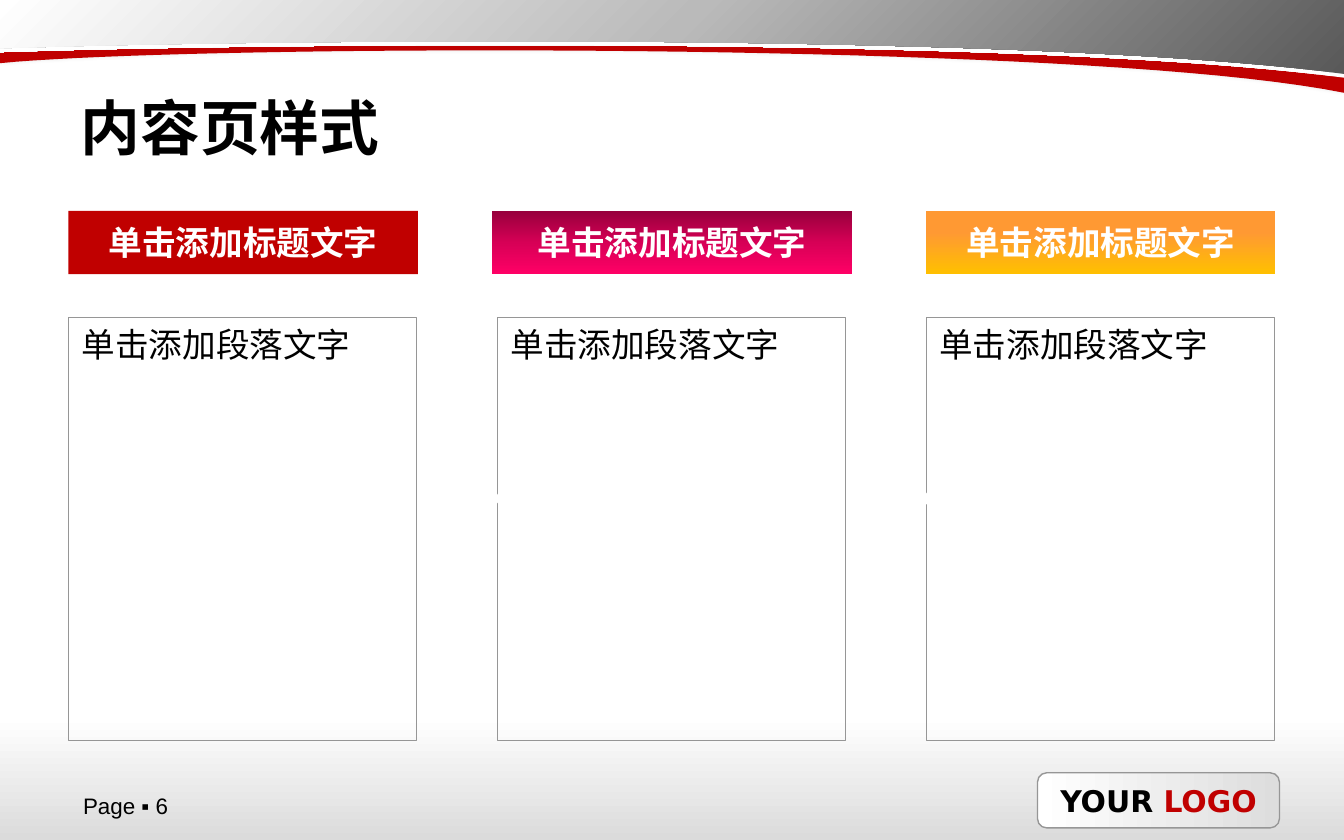
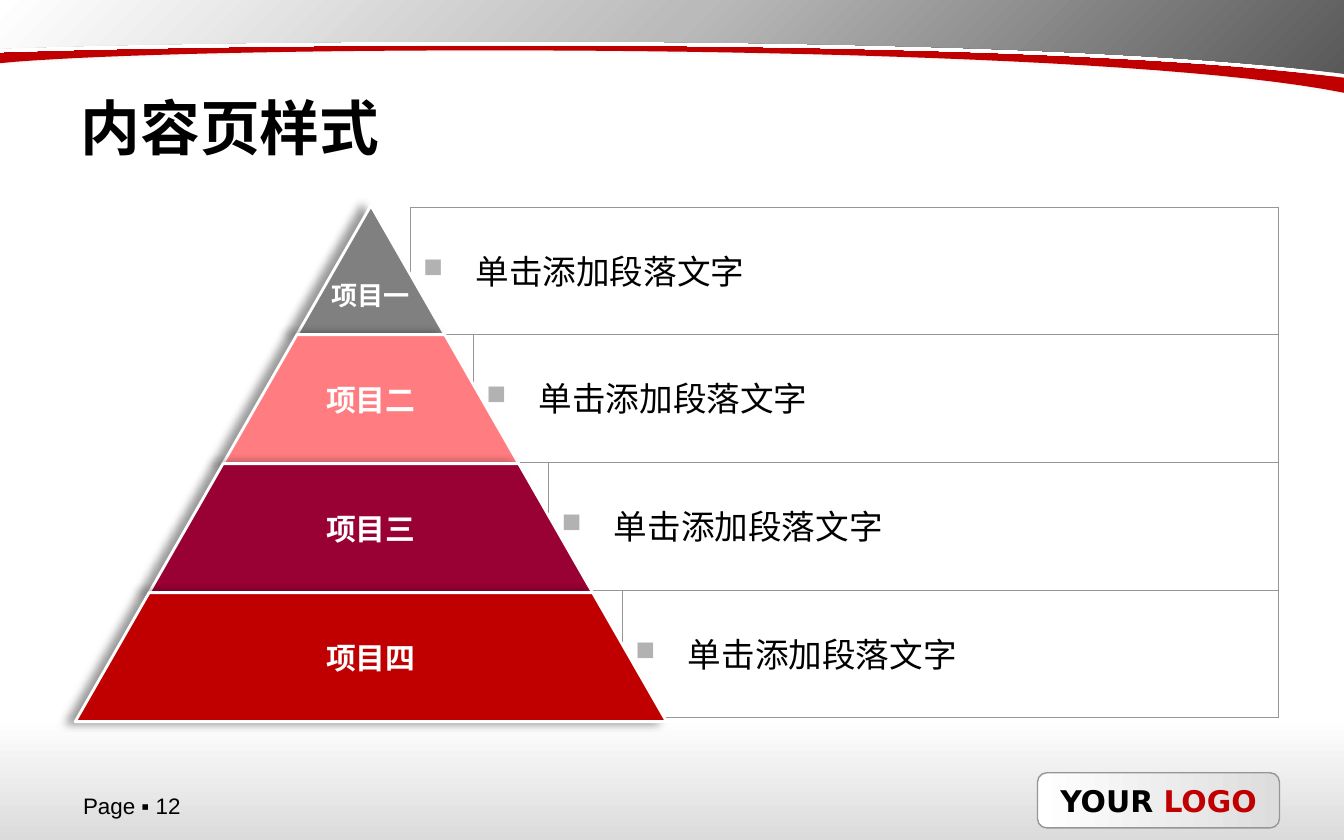
"""Build two content slides: three titled cards and a four-level pyramid."""
from lxml import etree
from pptx import Presentation
from pptx.dml.color import RGBColor
from pptx.enum.shapes import MSO_SHAPE
from pptx.enum.text import MSO_ANCHOR, PP_ALIGN
from pptx.oxml.ns import qn
from pptx.util import Inches, Pt

RECT, ROUNDED, ARROW = MSO_SHAPE.RECTANGLE, MSO_SHAPE.ROUNDED_RECTANGLE, MSO_SHAPE.RIGHT_ARROW
LEFT, CENTER = PP_ALIGN.LEFT, PP_ALIGN.CENTER
TOP, MIDDLE, BOTTOM = MSO_ANCHOR.TOP, MSO_ANCHOR.MIDDLE, MSO_ANCHOR.BOTTOM

BLACK = RGBColor(0x00, 0x00, 0x00)
WHITE = RGBColor(0xFF, 0xFF, 0xFF)
RED = RGBColor(0xC0, 0x00, 0x00)
CRIMSON = RGBColor(0x99, 0x00, 0x33)
PINK = RGBColor(0xFF, 0x7C, 0x80)
GRAY = RGBColor(0x80, 0x80, 0x80)
BORDER = RGBColor(0x96, 0x96, 0x96)
BULLET = RGBColor(0xB2, 0xB2, 0xB2)
SILVER = RGBColor(0xDD, 0xDD, 0xDD)
FOOT = RGBColor(0xDB, 0xDB, 0xDB)
DARK = RGBColor(0x59, 0x59, 0x59)
MID = RGBColor(0xBA, 0xBA, 0xBA)
MAGENTA = [(0, RGBColor(0x97, 0x00, 0x3C)), (50, RGBColor(0xD7, 0x00, 0x56)),
           (100, RGBColor(0xFF, 0x00, 0x66))]
ORANGE = [(0, RGBColor(0xFF, 0xC0, 0x00)), (66, RGBColor(0xFF, 0x99, 0x33))]
SANS, ARIAL = "DejaVu Sans", "Arial"


def style(sp, fill=None, angle=0, line=None, width=0.25, shadow=None):
    """Set fill (colour or gradient stops, angle clockwise), line and shadow."""
    if fill is None:
        sp.fill.background()
    elif isinstance(fill, RGBColor):
        sp.fill.solid()
        sp.fill.fore_color.rgb = fill
    else:
        sp.fill.gradient()
        sp.fill.gradient_angle = -angle % 360
        stops = sp.element.spPr.find(".//" + qn("a:gsLst"))
        stops.clear()
        for pos, color in fill:
            gs = etree.SubElement(stops, qn("a:gs"), pos=str(pos * 1000))
            etree.SubElement(gs, qn("a:srgbClr"), val=str(color))
    if line is None:
        sp.line.fill.background()
    else:
        sp.line.color.rgb = line
        sp.line.width = Pt(width)
    sp.shadow.inherit = False
    if shadow:
        color, alpha, blur, dist, direction = shadow
        effects = sp.element.spPr.find(qn("a:effectLst"))
        outer = etree.SubElement(effects, qn("a:outerShdw"), blurRad=str(Pt(blur)),
                                 dist=str(Pt(dist)), dir=str(direction * 60000),
                                 algn="ctr", rotWithShape="0")
        clr = etree.SubElement(outer, qn("a:srgbClr"), val=str(color))
        etree.SubElement(clr, qn("a:alpha"), val=str(alpha * 1000))


def write(sp, runs, size, bold=False, font=SANS, align=LEFT, anchor=MIDDLE, wrap=True):
    """Fill the shape with one paragraph of (text, colour) runs and return it."""
    tf = sp.text_frame
    tf.word_wrap = wrap
    tf.vertical_anchor = anchor
    p = tf.paragraphs[0]
    p.alignment = align
    for text, color in runs:
        r = p.add_run()
        r.text = text
        r.font.size = Pt(size)
        r.font.bold = bold
        r.font.name = font
        r.font.color.rgb = color
    return p


prs = Presentation()
prs.slide_width, prs.slide_height = Inches(10), Inches(6.25)
W, H = prs.slide_width, prs.slide_height
U = W // 1000

layout = prs.slide_layouts[5]
for ph in list(layout.placeholders)[1:]:
    ph.element.getparent().remove(ph.element)
title = layout.placeholders[0]
title.left, title.top, title.width, title.height = 50 * U, 60 * U, 900 * U, 69 * U

# Shared bands and badge go to the layout
slides = [prs.slides.add_slide(layout) for _ in range(2)]
shapes = slides[0].shapes
sp = shapes.add_shape(RECT, 0, 533 * U, W, H - 533 * U)
style(sp, [(0, FOOT), (100, WHITE)], 270)
sp = shapes.add_shape(ROUNDED, 772 * U, 575 * U, 180 * U, 41 * U)
style(sp, [(0, WHITE), (100, SILVER)], 0, BORDER, 0.75)
write(sp, [("YOUR ", BLACK), ("LOGO", RED)], 16, True, align=CENTER, wrap=False)

bands = [
    (((1000, 69), (805, 30), (142, 33), (0, 47)), RED, (BLACK, 40, 4, 3, 270)),
    (((1000, 55), (768, 24), (211, 29), (0, 36)),
     [(0, DARK), (50, MID), (100, WHITE)], (WHITE, 100, 0, 2, 90)),
]
for (a, b, c, d), fill, shadow in bands:
    curve = []
    for step in range(41):
        t = step / 40
        weights = (1 - t) ** 3, 3 * t * (1 - t) ** 2, 3 * t ** 2 * (1 - t), t ** 3
        curve.append([U * sum(k * q[axis] for k, q in zip(weights, (a, b, c, d)))
                      for axis in (0, 1)])
    fb = shapes.build_freeform(W, 0)
    fb.add_line_segments(curve + [(0, 0)])
    style(fb.convert_to_shape(), fill, 225, shadow=shadow)
for sp in list(shapes)[1:]:
    layout.shapes.element.append(sp.element)

for s, page in zip(slides, (6, 12)):
    write(s.shapes.title, [("内容页样式", BLACK)], 32, True)
    sp = s.shapes.add_textbox(52 * U, 588 * U, 157 * U, 22 * U)
    write(sp, [(f"Page ▪ {page}", BLACK)], 12, font=ARIAL)

# Cards
shapes = slides[0].shapes
CARD_W, CARD_STEP = 259, 319
headers = [(RED, 0, 260), (MAGENTA, 90, 268), (ORANGE, 270, 260)]
panels = []
for i, (fill, angle, width) in enumerate(headers):
    x = 51 + i * CARD_STEP
    sp = shapes.add_shape(RECT, (x - (width - CARD_W) // 2) * U, 157 * U, width * U, 47 * U)
    style(sp, fill, angle)
    write(sp, [("单击添加标题文字", WHITE)], 18, True, align=CENTER, wrap=False)
    sp = shapes.add_shape(ROUNDED, x * U, 236 * U, CARD_W * U, 315 * U)
    panels.append((sp, TOP))
for i in range(2):
    sp = shapes.add_shape(ARROW, (311 + i * 320) * U, 327 * U, 62 * U, 88 * U)
    sp.adjustments[0], sp.adjustments[1] = 0.54, 0.62
    style(sp, WHITE)

# Pyramid rows
shapes = slides[1].shapes
RIGHT, PANEL_H = 951, 95
for i, x in enumerate((305, 352, 408, 463)):
    sp = shapes.add_shape(ROUNDED, x * U, (154 + i * PANEL_H) * U, (RIGHT - x) * U, PANEL_H * U)
    panels.append((sp, MIDDLE))

for sp, anchor in panels:
    sp.adjustments[0] = 0
    style(sp, line=BORDER)
    p = write(sp, [("单击添加段落文字", BLACK)], 18, anchor=anchor)
    pPr = p._p.get_or_add_pPr()
    pPr.set("marL", str(39 * U))
    pPr.set("indent", str(-39 * U))
    if anchor == MIDDLE:
        clr = etree.SubElement(pPr, qn("a:buClr"))
        etree.SubElement(clr, qn("a:srgbClr"), val=str(BULLET))
        etree.SubElement(pPr, qn("a:buSzPct"), val="80000")
        etree.SubElement(pPr, qn("a:buChar"), char="■")

AXIS, APEX, LEVEL_H, SLOPE = 276, 153, 96, 55
levels = [("项目一", GRAY), ("项目二", PINK), ("项目三", CRIMSON), ("项目四", RED)]
for i, (text, fill) in enumerate(levels):
    y, near, far = APEX + i * LEVEL_H, i * SLOPE, (i + 1) * SLOPE
    corners = [(AXIS - near, y), (AXIS + near, y),
               (AXIS + far, y + LEVEL_H), (AXIS - far, y + LEVEL_H)]
    points = [(px * U, py * U) for px, py in corners]
    fb = shapes.build_freeform(*points[0])
    fb.add_line_segments(points[1:])
    sp = fb.convert_to_shape()
    style(sp, fill, line=WHITE, width=1.5, shadow=(BLACK, 40, 5, 5, 180))
    tf = sp.text_frame
    tf.margin_left = tf.margin_right = tf.margin_top = 0
    tf.margin_bottom = 0 if i else 18 * U
    write(sp, [(text, WHITE)], 16 if i else 14, True, ARIAL, CENTER,
          MIDDLE if i else BOTTOM, False)

prs.save("out.pptx")
